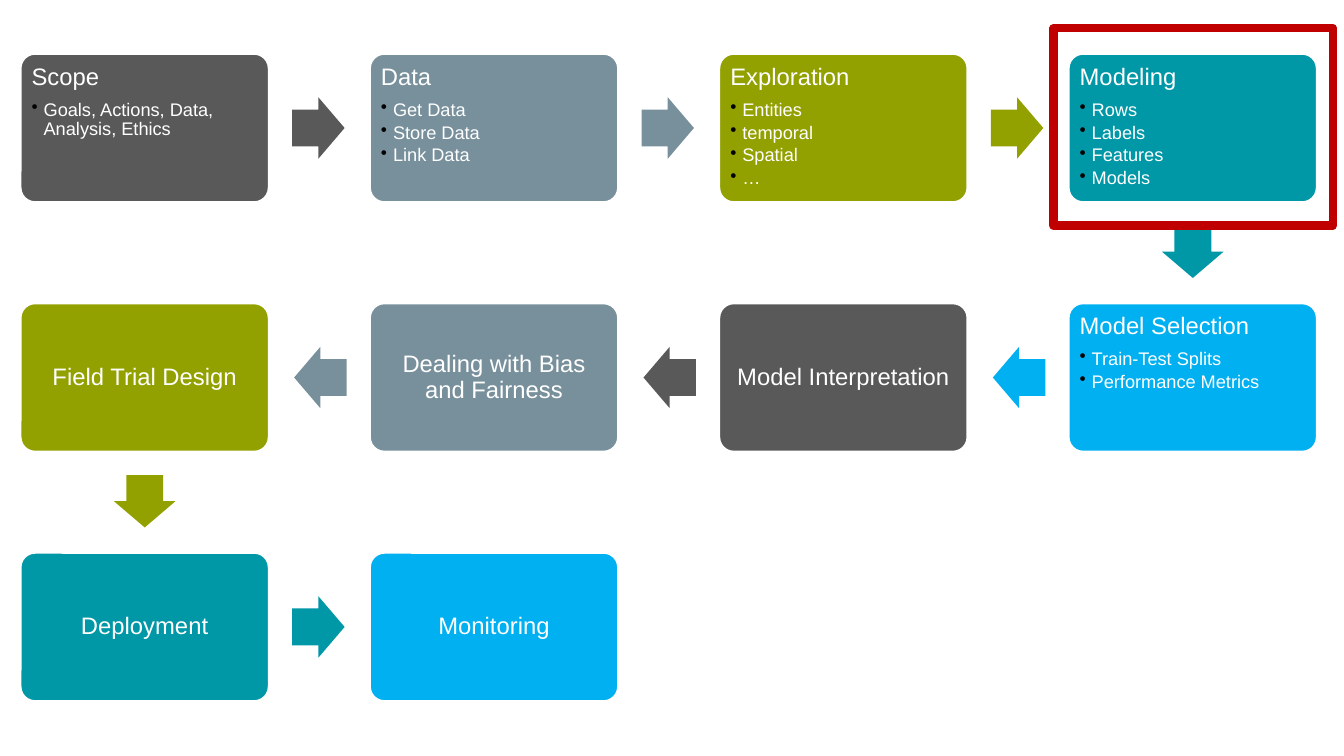
import pptx
import pptx.util
import pptx.dml.color
import pptx.enum.shapes
import pptx.enum.text
import pptx.oxml
import pptx.oxml.ns
from lxml import etree

Inches, Pt = pptx.util.Inches, pptx.util.Pt
SHAPES = pptx.enum.shapes.MSO_SHAPE
ALIGN, ANCHOR = pptx.enum.text.PP_ALIGN, pptx.enum.text.MSO_ANCHOR
COLORS = {"gray": "595959", "slate": "78909C", "olive": "92A000", "teal": "0097A7",
          "sky": "00B0F0", "white": "FFFFFF", "black": "000000", "frame": "C00000"}
COLUMNS = 4
GRID_LEFT, GRID_TOP = 0.2, 0.53
COLUMN_PITCH, ROW_PITCH = 3.465, 2.475
CARD_WIDTH, CARD_HEIGHT = 2.47, 1.48
ARROW_LENGTH, ARROW_BREADTH, ARROW_SETBACK = 0.52, 0.61, 0.01
FRAME_BOX = (10.45, 0.28, 2.77, 1.96)
TITLE_FORMAT = {"size": Pt(17), "name": "Arial"}
BULLET_FORMAT = {"size": Pt(13), "name": "Arial"}
STEPS = [
    ("Scope", "gray", ["Goals, Actions, Data, Analysis, Ethics"]),
    ("Data", "slate", ["Get Data", "Store Data", "Link Data"]),
    ("Exploration", "olive", ["Entities", "temporal", "Spatial", "…"]),
    ("Modeling", "teal", ["Rows", "Labels", "Features", "Models"]),
    ("Model Selection", "sky", ["Train-Test Splits", "Performance Metrics"]),
    ("Model Interpretation", "gray", []),
    ("Dealing with Bias and Fairness", "slate", []),
    ("Field Trial Design", "olive", []),
    ("Deployment", "teal", []),
    ("Monitoring", "sky", []),
]


def rgb(name):
    """Return the named color."""
    return pptx.dml.color.RGBColor.from_string(COLORS[name])


def apply(target, formats):
    """Set every attribute given in a dict of format values."""
    for attribute, value in formats.items():
        setattr(target, attribute, value)


def add_shape(slide, kind, box, fill=None, line=None, width=0):
    """Add a flat preset shape with optional fill and outline."""
    shape = slide.shapes.add_shape(kind, *(Inches(length) for length in box))
    shape.shadow.inherit = False
    if fill:
        shape.fill.solid()
        shape.fill.fore_color.rgb = rgb(fill)
    else:
        shape.fill.background()
    if line:
        shape.line.color.rgb = rgb(line)
        shape.line.width = Pt(width)
        etree.SubElement(shape.line._ln, pptx.oxml.ns.qn("a:round"))
    else:
        shape.line.fill.background()
    return shape


def add_text(paragraph, text, formats, space_after):
    """Write one white line of card text."""
    apply(paragraph, {"line_spacing": 0.9, "space_after": Pt(space_after)})
    run = paragraph.add_run()
    run.text = text
    apply(run.font, formats)
    run.font.color.rgb = rgb("white")


def add_bullet(paragraph):
    """Give a paragraph a black hanging bullet."""
    paragraph.level = 1
    properties = paragraph._p.get_or_add_pPr()
    properties.set("marL", str(Inches(0.12)))
    properties.set("indent", str(Inches(-0.12)))
    color = etree.SubElement(properties, pptx.oxml.ns.qn("a:buClr"))
    etree.SubElement(color, pptx.oxml.ns.qn("a:srgbClr"), val=COLORS["black"])
    etree.SubElement(properties, pptx.oxml.ns.qn("a:buChar"), char="•")


def add_card(slide, box, title, color, bullets):
    """Draw one step: a centered title, or a title above bullets."""
    card = add_shape(slide, SHAPES.ROUNDED_RECTANGLE, box, color, "white", 2)
    card.adjustments[0] = 0.1
    frame = card.text_frame
    margins = {f"margin_{side}": Inches(0.07) for side in ("left", "top", "right", "bottom")}
    anchor = ANCHOR.TOP if bullets else ANCHOR.MIDDLE
    apply(frame, {"word_wrap": True, "vertical_anchor": anchor, **margins})
    heading = frame.paragraphs[0]
    heading.alignment = ALIGN.LEFT if bullets else ALIGN.CENTER
    add_text(heading, title, TITLE_FORMAT, 7)
    for bullet in bullets:
        paragraph = frame.add_paragraph()
        paragraph.alignment = ALIGN.LEFT
        add_text(paragraph, bullet, BULLET_FORMAT, 2.3)
        add_bullet(paragraph)


def add_arrow(slide, start, end, color):
    """Draw a block arrow midway between two card boxes."""
    across = (end[0] > start[0]) - (end[0] < start[0])
    down = end[1] > start[1]
    center_x = (start[0] + end[0] + CARD_WIDTH) / 2 - across * ARROW_SETBACK
    center_y = (start[1] + end[1] + CARD_HEIGHT) / 2 - down * ARROW_SETBACK
    box = (center_x - ARROW_LENGTH / 2, center_y - ARROW_BREADTH / 2,
           ARROW_LENGTH, ARROW_BREADTH)
    arrow = add_shape(slide, SHAPES.RIGHT_ARROW, box, color)
    arrow.adjustments[0] = 0.6
    arrow.rotation = 90 if down else 180 if across < 0 else 0


def card_box(index):
    """Return the box of a step on the grid, whose rows alternate direction."""
    row, column = divmod(index, COLUMNS)
    if row % 2:
        column = COLUMNS - 1 - column
    return (GRID_LEFT + column * COLUMN_PITCH, GRID_TOP + row * ROW_PITCH,
            CARD_WIDTH, CARD_HEIGHT)


def add_process(slide):
    """Draw all steps and the arrows that join them."""
    for index, (title, color, bullets) in enumerate(STEPS):
        add_card(slide, card_box(index), title, color, bullets)
        if index + 1 < len(STEPS):
            add_arrow(slide, card_box(index), card_box(index + 1), color)


def main():
    """Build and save the process slide."""
    presentation = pptx.Presentation()
    apply(presentation, {"slide_width": Inches(13.33), "slide_height": Inches(7.5)})
    slide = presentation.slides.add_slide(presentation.slide_layouts[6])
    add_process(slide)
    add_shape(slide, SHAPES.RECTANGLE, FRAME_BOX, line="frame", width=6)
    presentation.save("out.pptx")


if __name__ == "__main__":
    main()
